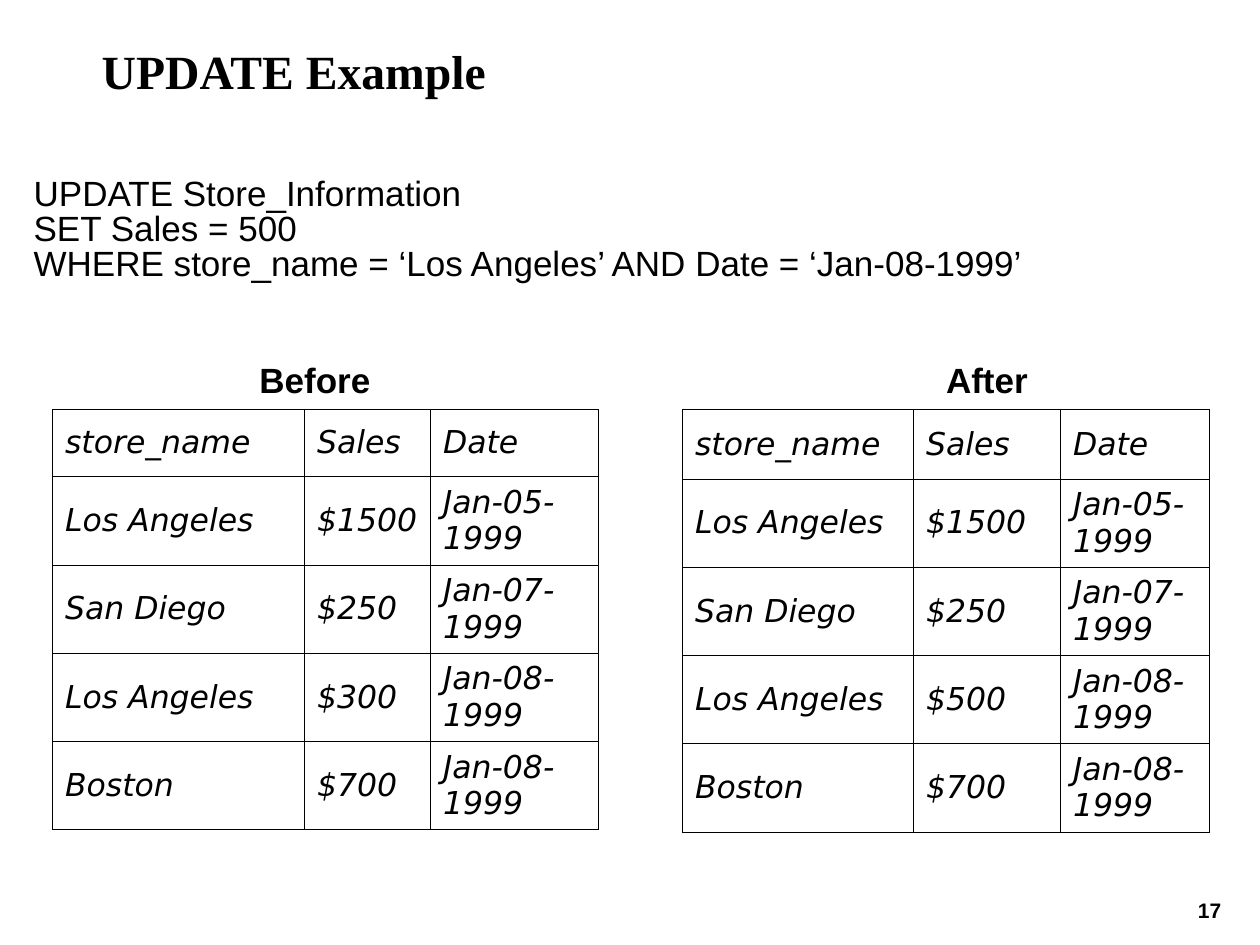
from lxml.etree import SubElement
from pptx import Presentation
from pptx.dml.color import RGBColor
from pptx.enum.text import MSO_ANCHOR, MSO_AUTO_SIZE, PP_ALIGN
from pptx.oxml.ns import qn
from pptx.util import Inches, Pt

COLS, ROWS = 120, 90  # grid over the whole slide


def color(hex_string):
    return RGBColor.from_string(hex_string)


class Deck:
    ink = "000000"
    body, heading, data = "Arial", "Times New Roman", "DejaVu Sans"
    border = 0.34

    def __init__(self, prs):
        self.unit_x, self.unit_y = prs.slide_width / COLS, prs.slide_height / ROWS
        self.slide = prs.slides.add_slide(prs.slide_layouts[6])

    def x(self, cols):
        return round(cols * self.unit_x)

    def y(self, rows):
        return round(rows * self.unit_y)

    def set_text(self, p, text, size, font, bold=False, italic=False, spacing=None):
        p.text = text
        p.line_spacing = spacing
        p.font.size, p.font.name = Pt(size), font
        p.font.bold, p.font.italic = bold, italic
        p.font.color.rgb = color(self.ink)

    def label(self, text, left, top, width, height, size, font=body, centered=True):
        sp = self.slide.shapes.add_textbox(
            self.x(left), self.y(top), self.x(width), self.y(height))
        tf = sp.text_frame
        tf.word_wrap = True
        p = tf.paragraphs[0]
        self.set_text(p, text, size, font, bold=True, spacing=0.9)
        if centered:
            tf.auto_size = MSO_AUTO_SIZE.SHAPE_TO_FIT_TEXT
            p.alignment = PP_ALIGN.CENTER

    def outline(self, cell, visible):
        tc_pr = cell._tc.get_or_add_tcPr()
        for i, side in enumerate(("lnL", "lnR", "lnT", "lnB")):
            ln = SubElement(tc_pr, qn(f"a:{side}"), w=str(int(Pt(self.border))))
            if visible:
                fill = SubElement(ln, qn("a:solidFill"))
                SubElement(fill, qn("a:srgbClr"), val=self.ink)
            else:
                SubElement(ln, qn("a:noFill"))
            tc_pr.insert(i, ln)  # borders come before the cell fill

    def table(self, rows, left, top, widths, heights, bordered=True, **style):
        table = self.slide.shapes.add_table(
            len(rows), len(widths), self.x(left), self.y(top),
            self.x(sum(widths)), self.y(sum(heights))).table
        table.first_row = table.horz_banding = False
        for column, width in zip(table.columns, widths):
            column.width = self.x(width)
        for row, height, values in zip(table.rows, heights, rows):
            row.height = self.y(height)
            for cell, value in zip(row.cells, values):
                cell.vertical_anchor = MSO_ANCHOR.MIDDLE
                cell.fill.background()
                self.outline(cell, bordered)
                self.set_text(cell.text_frame.paragraphs[0], value, **style)


def store_rows(updated_sales):
    return [
        ("store_name", "Sales", "Date"),
        ("Los Angeles", "$1500", "Jan-05-1999"),
        ("San Diego", "$250", "Jan-07-1999"),
        ("Los Angeles", updated_sales, "Jan-08-1999"),
        ("Boston", "$700", "Jan-08-1999"),
    ]


def main():
    prs = Presentation()
    prs.slide_width, prs.slide_height = Inches(10), Inches(7.5)
    deck = Deck(prs)

    # Page number
    deck.label("17", 112.2, 85.2, 6, 3.4, 12)

    # SQL statement
    statement = "\v".join((
        "UPDATE Store_Information",
        "SET Sales = 500",
        "WHERE store_name = ‘Los Angeles’ AND Date = ‘Jan-08-1999’",
    ))
    deck.table([(statement,)], 2, 16, [108], [12], bordered=False,
               size=20, font=deck.body, spacing=0.9)

    # Title
    deck.label("UPDATE Example", 8.5, 4, 99.5, 12.4, 27.2, deck.heading, centered=False)

    # Store data before and after the update
    for caption, caption_left, sales, left, widths, header in (
        ("After", 85, "$500", 65, (22, 14, 14.2), 6.6),
        ("Before", 21, "$300", 5, (24, 12, 16), 6.4),
    ):
        deck.table(store_rows(sales), left, 39, widths, [header] + [8.4] * 4,
                   size=18, font=deck.data, italic=True)
        deck.label(caption, caption_left, 34, 18, 4.8, 20)

    prs.save("out.pptx")


if __name__ == "__main__":
    main()
